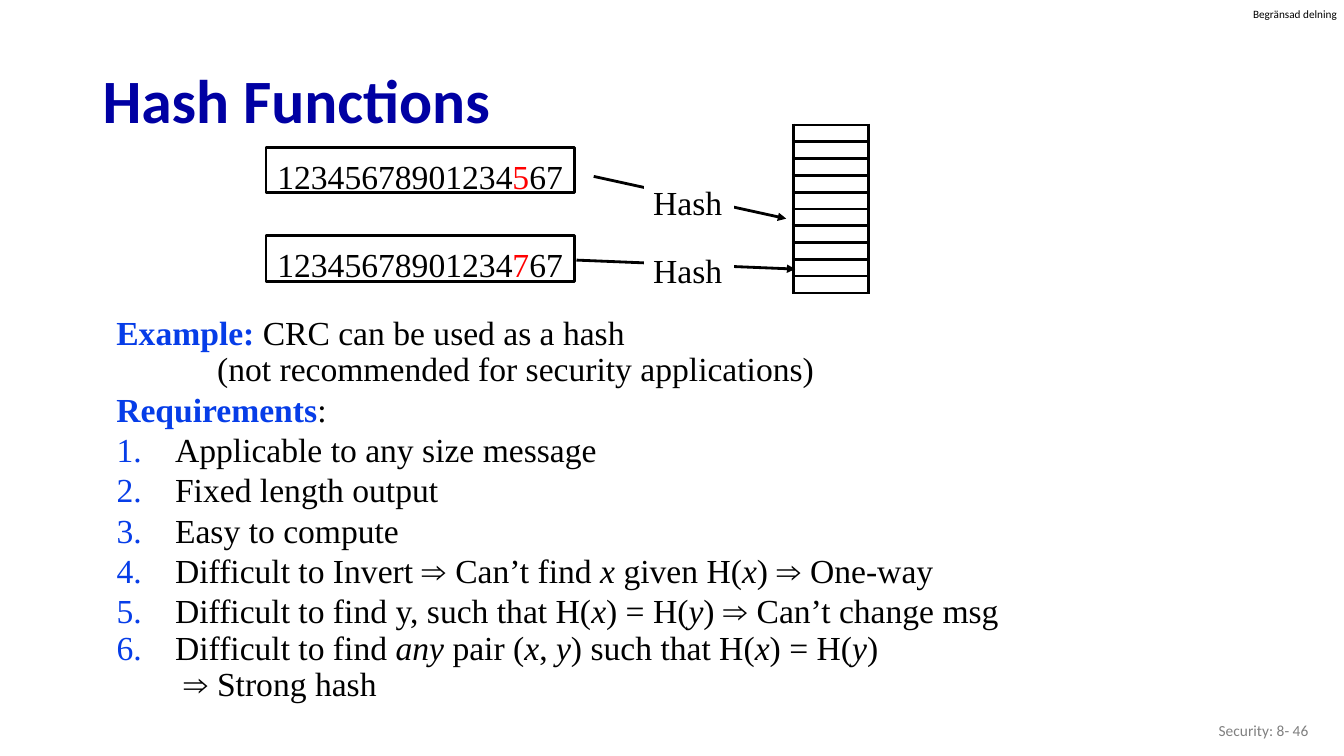
from dataclasses import dataclass

from lxml import etree
from pptx import Presentation
from pptx.dml.color import RGBColor
from pptx.enum.shapes import MSO_CONNECTOR, MSO_SHAPE
from pptx.enum.text import MSO_ANCHOR, PP_ALIGN
from pptx.oxml.ns import qn
from pptx.util import Pt

LEFT, RIGHT = PP_ALIGN.LEFT, PP_ALIGN.RIGHT
TOP, MIDDLE = MSO_ANCHOR.TOP, MSO_ANCHOR.MIDDLE
RECT = MSO_SHAPE.RECTANGLE
LINE = MSO_CONNECTOR.STRAIGHT


@dataclass(frozen=True)
class Theme:
    black: str = "000000"
    white: str = "FFFFFF"
    navy: str = "0000A3"
    blue: str = "063DE8"
    red: str = "FF0000"
    gray: str = "808080"
    sans: str = "Calibri"
    serif: str = "Times New Roman"
    sign: str = "Arial"
    head: float = 44
    body: float = 24
    foot: float = 11
    tag: float = 8
    cell: float = 6


THEME = Theme()

RULES = [
    ("Applicable to any size message", 28.8),
    ("Fixed length output", 28.8),
    ("Easy to compute", 28.8),
    ("Difficult to Invert |~⇒ |Can’t find |*x |given H(|*x|) |~⇒ |One-way", 28.8),
    ("Difficult to find y, such that H(|*x|) = H(|*y|) |~⇒ |Can’t change msg", 28.8),
    ("Difficult to find |*any |pair (|*x|, |*y|) such that H(|*x|) = H(|*y|)", 25.9),
]


def rgb(color):
    return RGBColor.from_string(color)


def sub(parent, tag, **attrs):
    return etree.SubElement(parent, qn(tag), attrs)


def set_font(font, size, face, color, bold=False):
    font.size = Pt(size)
    font.name = face
    font.bold = bold
    font.color.rgb = rgb(color)


def add_runs(para, text):
    for part in filter(None, text.split("|")):
        mark = part[0] if part[0] in "*^~#" else ""
        run = para.add_run()
        run.text = part[len(mark):]
        if mark == "*":
            run.font.italic = True
        elif mark == "^":
            run.font.bold = True
            run.font.color.rgb = rgb(THEME.blue)
        elif mark == "~":
            run.font.name = THEME.sign
        elif mark == "#":
            run.font.color.rgb = rgb(THEME.red)


def fill_para(para, text, left=0, lead=None, before=0, number=False):
    props = para._p.get_or_add_pPr()
    props.set("marL", str(Pt(left)))
    props.set("indent", str(Pt(-41.8 if number else 0)))
    if number:
        color = sub(props, "a:buClr")
        sub(color, "a:srgbClr", val=THEME.blue)
        sub(props, "a:buFont", typeface=THEME.serif)
        sub(props, "a:buAutoNum", type="arabicPeriod")
    if lead:
        para.line_spacing = Pt(lead)
    para.space_before = Pt(before)
    set_font(para.font, THEME.body, THEME.serif, THEME.black)
    add_runs(para, text)


def set_frame(frame, pad=(0, 0, 0, 0), anchor=TOP, wrap=True):
    frame.word_wrap = wrap
    frame.vertical_anchor = anchor
    (frame.margin_left, frame.margin_top,
     frame.margin_right, frame.margin_bottom) = map(Pt, pad)


def add_box(slide, at):
    return slide.shapes.add_textbox(*map(Pt, at)).text_frame


def add_label(slide, at, text, size, color, bold=False, align=LEFT,
              pad=(7.2, 3.6, 7.2, 3.6), wrap=True):
    frame = add_box(slide, at)
    set_frame(frame, pad, MIDDLE, wrap)
    para = frame.paragraphs[0]
    para.text = text
    para.alignment = align
    set_font(para.font, size, THEME.sans, color, bold)


def add_block(slide, at, rows):
    frame = add_box(slide, at)
    set_frame(frame, (0, 1.7, 0, 0))
    for pos, row in enumerate(rows):
        para = frame.add_paragraph() if pos else frame.paragraphs[0]
        fill_para(para, **row)


def add_panel(slide, at, text, pad, edge=False):
    shape = slide.shapes.add_shape(RECT, *map(Pt, at))
    shape.shadow.inherit = False
    if edge:
        shape.fill.background()
        shape.line.color.rgb = rgb(THEME.black)
        shape.line.width = Pt(2)
    else:
        shape.fill.solid()
        shape.fill.fore_color.rgb = rgb(THEME.white)
        shape.line.fill.background()
    set_frame(shape.text_frame, pad)
    para = shape.text_frame.paragraphs[0]
    para.alignment = LEFT
    fill_para(para, text)


def add_arrow(slide, ends):
    arrow = slide.shapes.add_connector(LINE, *map(Pt, ends))
    arrow.line.color.rgb = rgb(THEME.black)
    arrow.line.width = Pt(2)
    sub(arrow.line._get_or_add_ln(), "a:tailEnd", type="triangle")
    sub(arrow._element.spPr, "a:effectLst")


def style_cell(cell):
    (cell.margin_left, cell.margin_right,
     cell.margin_top, cell.margin_bottom) = [0] * 4
    para = cell.text_frame.paragraphs[0]._p
    sub(para, "a:endParaRPr", sz=str(int(THEME.cell * 100)))
    props = cell._tc.get_or_add_tcPr()
    for side in ("a:lnL", "a:lnR", "a:lnT", "a:lnB"):
        edge = sub(props, side, w=str(Pt(2.25)))
        paint = sub(edge, "a:solidFill")
        sub(paint, "a:srgbClr", val=THEME.black)
    cell.fill.background()


def add_slots(slide, left, top, width, high, count):
    frame = slide.shapes.add_table(
        count, 1, Pt(left), Pt(top), Pt(width), Pt(high * count))
    table = frame.table
    table.first_row = table.horz_banding = False
    for row in table.rows:
        row.height = Pt(high)
        style_cell(row.cells[0])


def main():
    deck = Presentation()
    deck.slide_width, deck.slide_height = Pt(960), Pt(540)
    slide = deck.slides.add_slide(deck.slide_layouts[6])

    add_label(slide, (895, 5, 62, 9.4), "Begränsad delning",
              THEME.tag, THEME.black, pad=(0, 0, 0, 0), wrap=False)
    add_label(slide, (66.2, 35.3, 828, 70.6), "Hash Functions",
              THEME.head, THEME.navy, bold=True)
    add_label(slide, (725.8, 507.6, 216, 28.8), "Security: 8- 46",
              THEME.foot, THEME.gray, align=RIGHT)

    add_block(slide, (82.1, 223.9, 500.4, 82.8), [
        dict(text="^Example: |CRC can be used as a hash", left=1, lead=25.9),
        dict(text="(not recommended for security applications)",
             left=73, lead=25.9),
        dict(text="^Requirements|:", left=1, lead=28.8),
    ])
    rules = [dict(text=text, left=43, lead=lead, number=True)
             for text, lead in RULES]
    rules.append(dict(text="~⇒ |Strong hash", left=49, lead=26))
    add_block(slide, (82.1, 304.6, 640, 198), rules)

    add_slots(slide, 566.6, 89.3, 54, 12, 10)
    flows = [
        (105.1, "12345678901234|#5|67", (424.1, 126, 561.6, 156.2), 126),
        (168.5, "12345678901234|#7|67", (411.8, 185.8, 568.1, 192.2), 174.2),
    ]
    for top, digits, ends, hash_top in flows:
        add_panel(slide, (190.1, top, 220.3, 32.4), digits,
                  (8, 5.9, 0, 0), edge=True)
        add_arrow(slide, ends)
        add_panel(slide, (460.1, hash_top, 64.1, 36.5), "Hash", (6.5, 4, 0, 0))

    deck.save("out.pptx")


if __name__ == "__main__":
    main()
